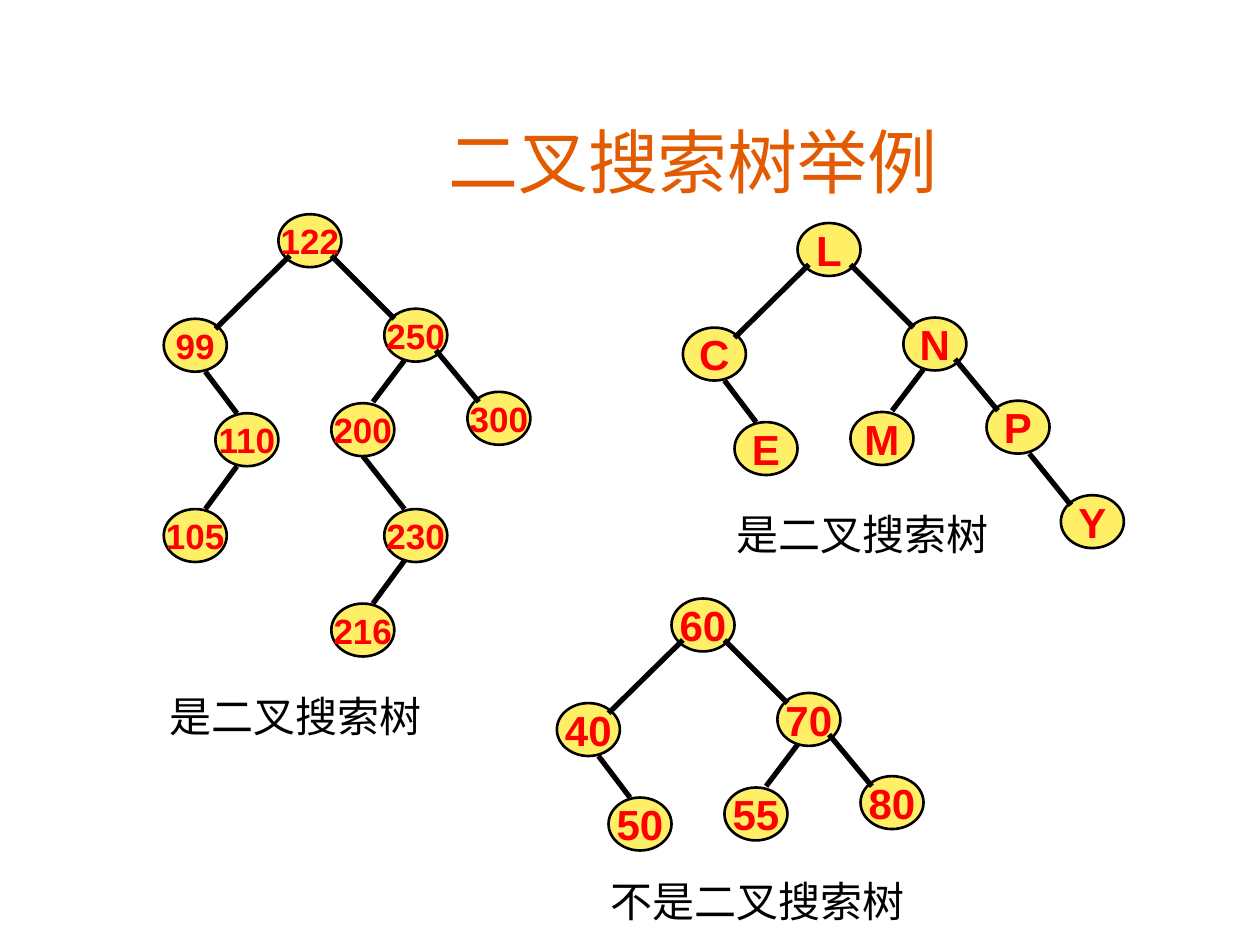
from pptx import Presentation
from pptx import util as u
from pptx.dml.color import RGBColor
from pptx.enum import shapes, text
from pptx.oxml.ns import qn
from lxml import etree

HUES = {"title": "E25B00", "node": "FFEF66", "key": "FF0000", "ink": "000000"}
SPOTS = [(0, 0), (0.84, 0.75), (1.5, 1.41), (-0.5, 1.58), (0.42, 1.5), (-0.91, 0.83)]
EDGES = [
    (0.09, 0.33, -0.5, 0.91),
    (0.42, 0.33, 0.92, 0.83),
    (1.25, 1.08, 1.59, 1.49),
    (1, 1.16, 0.75, 1.49),
    (-0.58, 1.25, -0.33, 1.58),
]


class Deck:
    cjk = "Noto Sans CJK SC"
    latin = "Arial"

    def __init__(self, slide):
        self.slide = slide

    def hue(self, name):
        return RGBColor.from_string(HUES[name])

    def run(self, para, words, size, tint, face, bold=False):
        run = para.add_run()
        run.text = words
        font = run.font
        font.name, font.size, font.bold = face, u.Pt(size), bold
        font.color.rgb = self.hue(tint)
        east = etree.SubElement(font._element, qn("a:ea"))
        east.set("typeface", self.cjk)

    def label(self, x, y, w, h, words, size=24, tint="ink", face=latin,
              align=text.PP_ALIGN.LEFT, anchor=text.MSO_ANCHOR.TOP):
        box = self.slide.shapes.add_textbox(*map(u.Inches, (x, y, w, h)))
        frame = box.text_frame
        frame.word_wrap = True
        frame.vertical_anchor = anchor
        para = frame.paragraphs[0]
        para.alignment = align
        self.run(para, words, size, tint, face)

    def node(self, group, x, y, key, size):
        oval = group.shapes.add_shape(
            shapes.MSO_SHAPE.OVAL, *map(u.Inches, (x, y, 0.5, 0.42)))
        oval.shadow.inherit = False
        oval.fill.solid()
        oval.fill.fore_color.rgb = self.hue("node")
        oval.line.color.rgb = self.hue("ink")
        oval.line.width = u.Pt(1.5)
        frame = oval.text_frame
        frame.word_wrap = False
        frame.vertical_anchor = text.MSO_ANCHOR.MIDDLE
        para = frame.paragraphs[0]
        para.alignment = text.PP_ALIGN.CENTER
        self.run(para, key, size, "key", self.latin, True)

    def edge(self, group, *ends):
        line = group.shapes.add_connector(
            shapes.MSO_CONNECTOR.STRAIGHT, *map(u.Inches, ends))
        line.line.color.rgb = self.hue("ink")
        line.line.width = u.Pt(3)
        etree.SubElement(line._element.spPr, qn("a:effectLst"))

    def tree(self, x, y, keys, size=24, spots=(), edges=()):
        group = self.slide.shapes.add_group_shape()
        for key, (dx, dy) in zip(keys, SPOTS + list(spots)):
            self.node(group, x + dx, y + dy, key, size)
        for ax, ay, bx, by in EDGES + list(edges):
            self.edge(group, x + ax, y + ay, x + bx, y + by)


def main():
    show = Presentation()
    show.slide_width, show.slide_height = u.Inches(10), u.Inches(7.5)
    deck = Deck(show.slides.add_slide(show.slide_layouts[6]))

    deck.label(1.25, 0.41, 8.5, 1.25, "二叉搜索树举例", 40, "title", deck.cjk,
               text.PP_ALIGN.CENTER, text.MSO_ANCHOR.BOTTOM)

    deck.tree(6.33, 1.77, "LNPEMCY", spots=[(2.09, 2.16)],
              edges=[(1.84, 1.83, 2.17, 2.24)])
    deck.tree(2.21, 1.7,
              ["122", "250", "300", "110", "200", "99", "105", "230", "216"], 20,
              spots=[(-0.91, 2.34), (0.84, 2.34), (0.42, 3.09)],
              edges=[(-0.33, 2, -0.58, 2.34), (0.67, 1.92, 1, 2.34),
                     (1, 2.75, 0.75, 3.09)])
    deck.tree(5.33, 4.75, ["60", "70", "80", "50", "55", "40"])

    deck.label(1.25, 5.43, 2.33, 0.5, "是二叉搜索树")
    deck.label(5.75, 3.99, 2.33, 0.5, "是二叉搜索树")
    deck.label(4.75, 6.9, 2.75, 0.5, "不是二叉搜索树")

    show.save("out.pptx")


if __name__ == "__main__":
    main()
